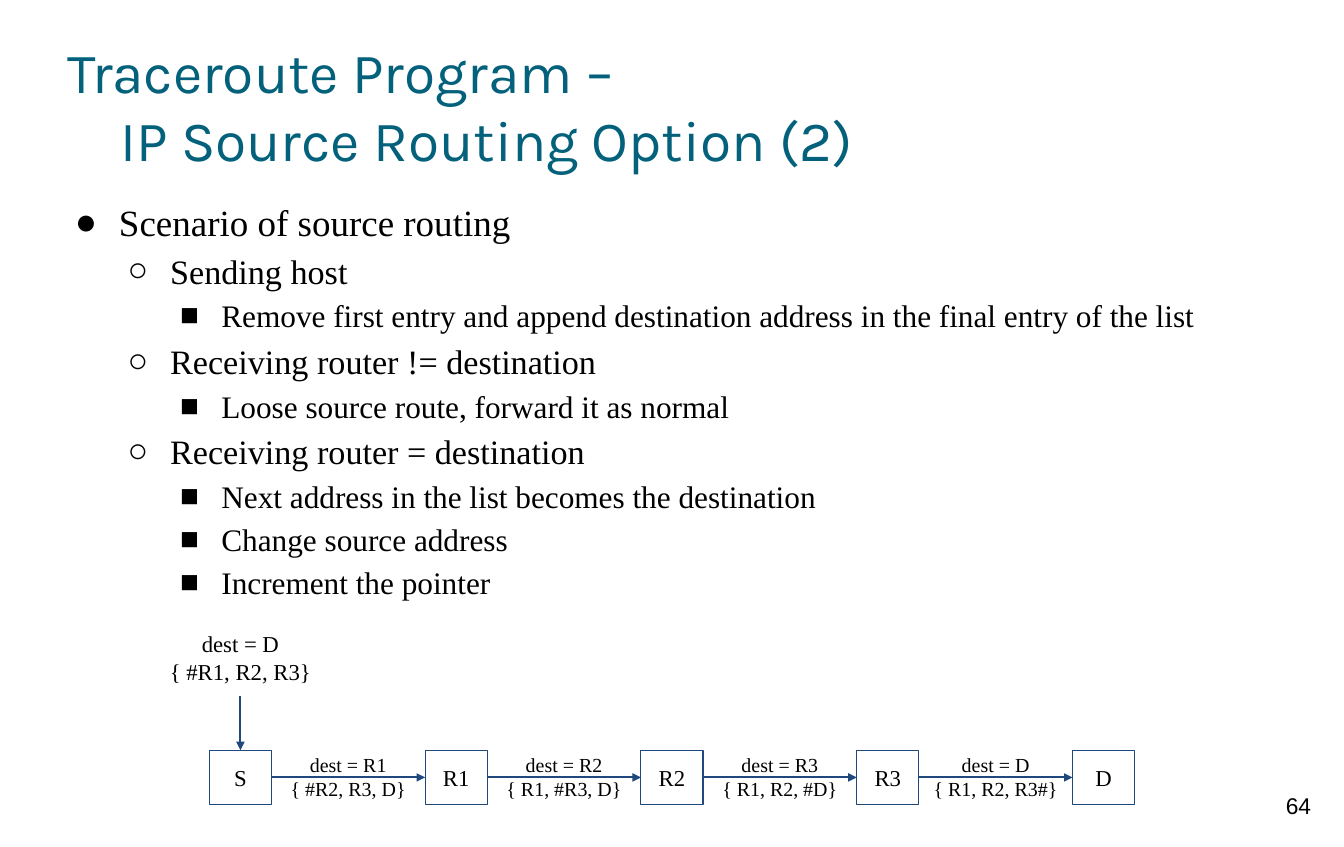
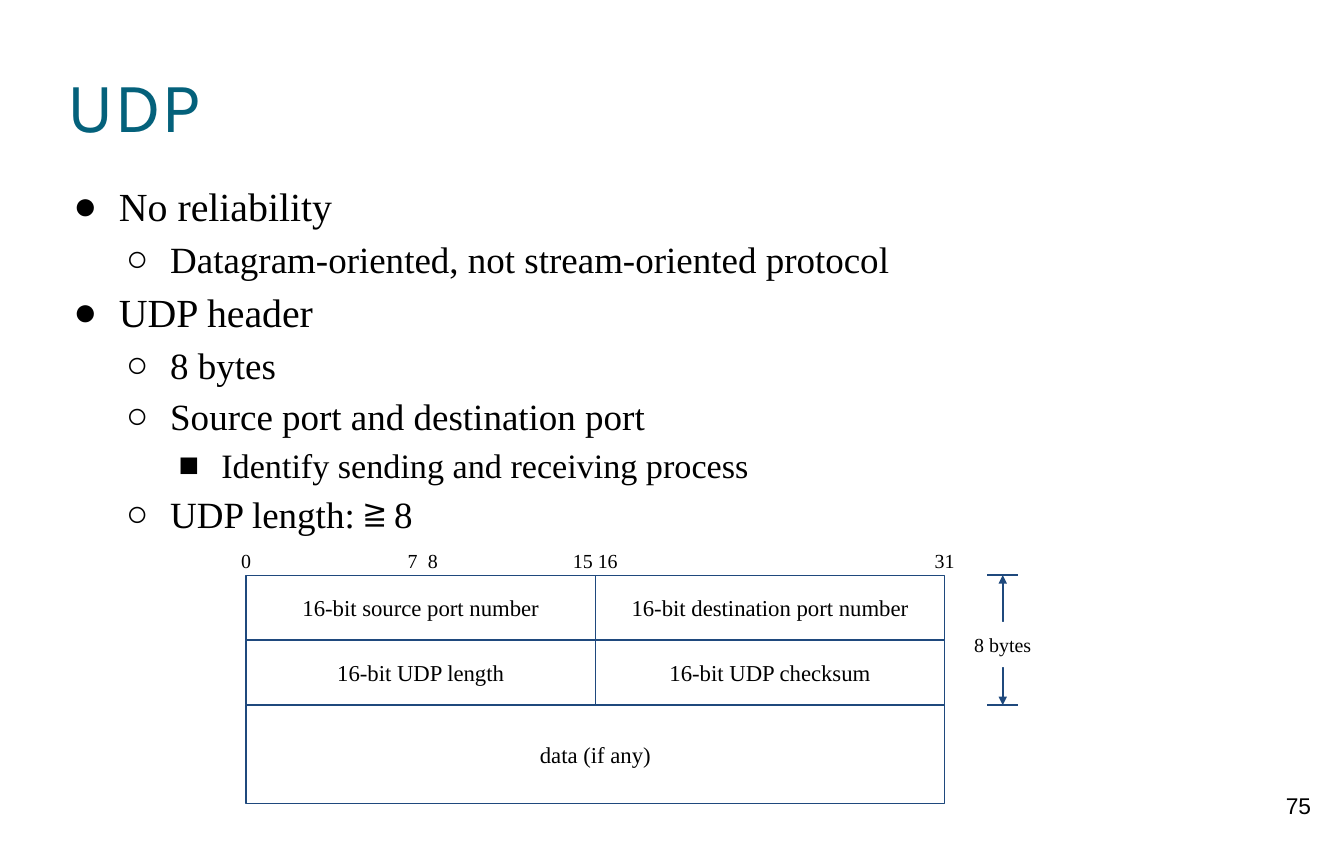
from lxml import etree
from pptx import Presentation
from pptx import util as u
from pptx.dml import color
from pptx.enum import shapes, text
from pptx.oxml import ns

Cm = u.Cm
COLORS = {"title": "04617B", "text": "000000", "line": "1F497D", "paper": "FFFFFF"}
SERIF = "Times New Roman"
INSET = 0.25
BULLETS = "●○■"


def rgb(name):
    return color.RGBColor.from_string(COLORS[name])


def add_element(parent, tag, **attributes):
    return etree.SubElement(parent, ns.qn(tag), attributes)


def write(frame, content, size=16, font=SERIF, ink="text", align="CENTER",
          anchor="TOP", inset=INSET, wrap=True):
    frame.word_wrap = wrap
    frame.vertical_anchor = getattr(text.MSO_ANCHOR, anchor)
    frame.margin_left = frame.margin_right = Cm(inset)
    frame.margin_top = frame.margin_bottom = Cm(inset)
    for index, line in enumerate(content.split("\n")):
        paragraph = frame.add_paragraph() if index else frame.paragraphs[0]
        paragraph.alignment = getattr(text.PP_ALIGN, align)
        run = paragraph.add_run()
        run.text = line
        run.font.size = u.Pt(size)
        run.font.name = font
        run.font.color.rgb = rgb(ink)
    return frame.paragraphs


class Deck:
    def __init__(self):
        self.presentation = Presentation()
        self.presentation.slide_width = Cm(33.32)
        self.presentation.slide_height = Cm(21)
        self.slide = None

    def start(self, title, number, title_size):
        self.slide = self.presentation.slides.add_slide(self.presentation.slide_layouts[6])
        lines = self.label(title, 1.68, 0.84, 30, 3.5, size=title_size, font="Karla",
                           ink="title", align="LEFT", anchor="MIDDLE", inset=0)
        for paragraph in lines[1:]:
            paragraph._p.get_or_add_pPr().set("marL", str(Cm(1.3)))
        self.label(str(number), 31.19, 19.38, 2, 1.6, font="Arial")

    def label(self, content, left, top, width, height, **style):
        box = self.slide.shapes.add_textbox(Cm(left), Cm(top), Cm(width), Cm(height))
        return write(box.text_frame, content, **style)

    def body(self, items, top, height, size):
        content = "\n".join(line for level, line in items)
        paragraphs = self.label(content, 1.68, top, 30.07, height, align="LEFT", inset=0)
        for paragraph, (level, line) in zip(paragraphs, items):
            level_size = size - 2 * level
            paragraph.level = level
            paragraph.line_spacing = 1.15
            paragraph.runs[0].font.size = u.Pt(level_size)
            properties = paragraph._p.get_or_add_pPr()
            properties.set("marL", str(Cm(1.27 * (level + 1))))
            properties.set("indent", str(-u.Pt(18 + level_size / 2)))
            bullet_color = add_element(properties, "a:buClr")
            add_element(bullet_color, "a:srgbClr", val=COLORS["text"])
            add_element(properties, "a:buFont", typeface=SERIF)
            add_element(properties, "a:buChar", char=BULLETS[level])

    def box(self, content, left, top, width, height, fill=None, outline=True, **style):
        shape = self.slide.shapes.add_shape(
            shapes.MSO_SHAPE.RECTANGLE, Cm(left), Cm(top), Cm(width), Cm(height))
        shape.shadow.inherit = False
        if fill:
            shape.fill.solid()
            shape.fill.fore_color.rgb = rgb(fill)
        else:
            shape.fill.background()
        if outline:
            shape.line.color.rgb = rgb("line")
            shape.line.width = u.Pt(0.75)
        else:
            shape.line.fill.background()
        write(shape.text_frame, content, anchor="MIDDLE", **style)

    def line(self, x1, y1, x2, y2, head=False, tail=False):
        connector = self.slide.shapes.add_connector(
            shapes.MSO_CONNECTOR.STRAIGHT, Cm(x1), Cm(y1), Cm(x2), Cm(y2))
        connector.line.color.rgb = rgb("line")
        connector.line.width = u.Pt(1.5)
        outline = connector.line._get_or_add_ln()
        for tag, wanted in (("a:headEnd", head), ("a:tailEnd", tail)):
            if wanted:
                add_element(outline, tag, type="triangle")
        add_element(connector._element.spPr, "a:effectLst")


def source_routing(deck):
    deck.start("Traceroute Program –\nIP Source Routing Option (2)", 64, 40)
    deck.body([
        (0, "Scenario of source routing"),
        (1, "Sending host"),
        (2, "Remove first entry and append destination address in the final entry of the list"),
        (1, "Receiving router != destination"),
        (2, "Loose source route, forward it as normal"),
        (1, "Receiving router = destination"),
        (2, "Next address in the list becomes the destination"),
        (2, "Change source address"),
        (2, "Increment the pointer"),
    ], 4.78, 10.08, 26)

    left, top, width, height, step = 5.19, 18.6, 1.54, 1.35, 5.35
    label_width = 5.13
    for index, host in enumerate(["S", "R1", "R2", "R3", "D"]):
        deck.box(host, left + index * step, top, width, height, fill="paper", wrap=False)
    hops = ["dest = R1\n{ #R2, R3, D}", "dest = R2\n{ R1, #R3, D}",
            "dest = R3\n{ R1, R2, #D}", "dest = D\n{ R1, R2, R3#}"]
    for index, hop in enumerate(hops):
        start, end = left + width + index * step, left + (index + 1) * step
        middle = top + height / 2
        deck.line(start, middle, end, middle, tail=True)
        deck.label(hop, (start + end - label_width) / 2, 18.42, label_width, 1.7, size=14)
    center = left + width / 2
    deck.label("dest = D\n{ #R1, R2, R3}", center - label_width / 2, 15.37, label_width, 1.88)
    deck.line(center, 17.25, center, top, tail=True)


def udp(deck):
    deck.start("UDP", 75, 50)
    deck.body([
        (0, "No reliability"),
        (1, "Datagram-oriented, not stream-oriented protocol"),
        (0, "UDP header"),
        (1, "8 bytes"),
        (1, "Source port and destination port"),
        (2, "Identify sending and receiving process"),
        (1, "UDP length: ≧ 8"),
    ], 4.34, 9.12, 28)

    left, top, width, height = 6.1, 14.26, 8.66, 1.61
    bottom = top + 2 * height
    fields = [["16-bit source port number", "16-bit destination port number"],
              ["16-bit UDP length", "16-bit UDP checksum"]]
    for row, names in enumerate(fields):
        for column, name in enumerate(names):
            deck.box(name, left + column * width, top + row * height, width, height)
    deck.box("data (if any)", left, bottom, 2 * width, 2.44)

    ticks = {"0": left, "7": 10.23, "8": 10.73, "15 16": left + width, "31": left + 2 * width}
    for bit, center in ticks.items():
        deck.label(bit, center - 0.85, 13.34, 1.7, 1.12, size=14)

    axis = 24.86
    for edge in (top, bottom):
        deck.line(axis - 0.39, edge, axis + 0.39, edge)
    deck.line(axis, top, axis, bottom, head=True, tail=True)
    deck.box("8 bytes", axis - 1.12, 15.42, 2.24, 1.12, fill="paper", outline=False,
             size=14, wrap=False)


def main():
    deck = Deck()
    source_routing(deck)
    udp(deck)
    deck.presentation.save("out.pptx")


if __name__ == "__main__":
    main()
